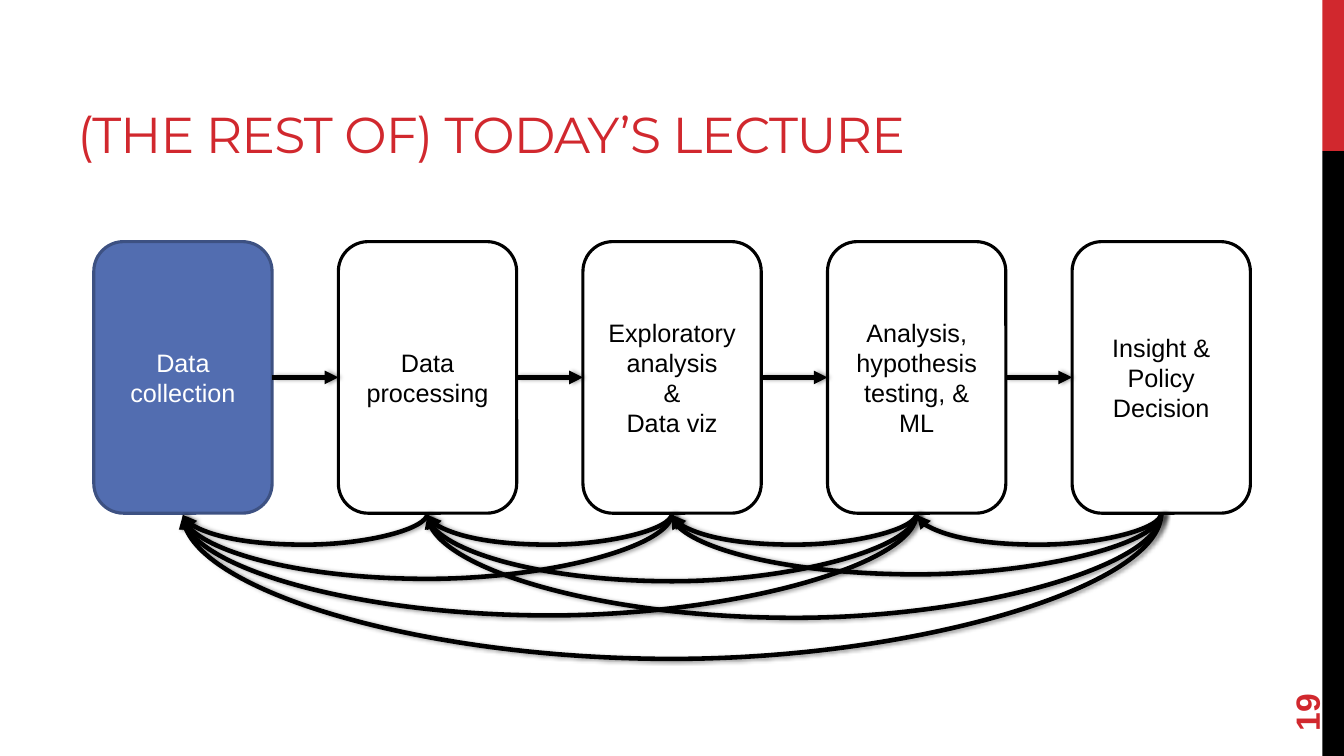
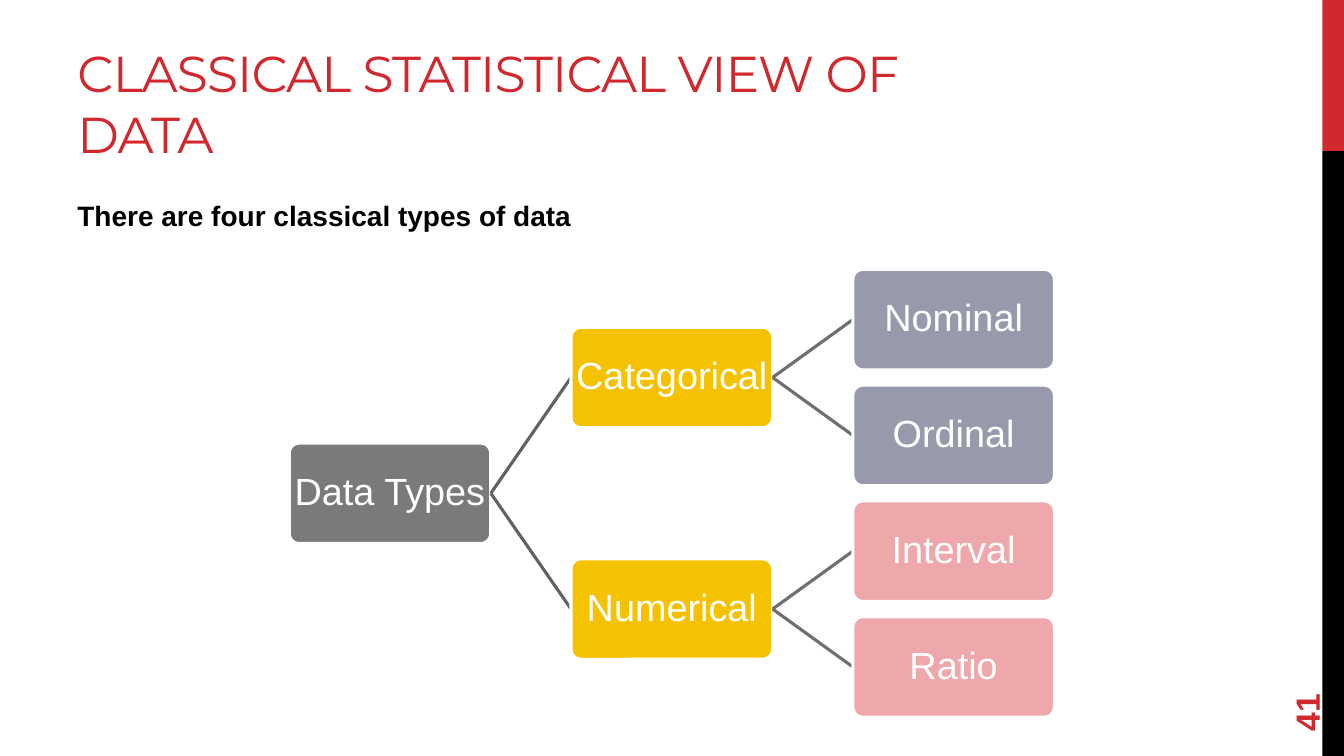
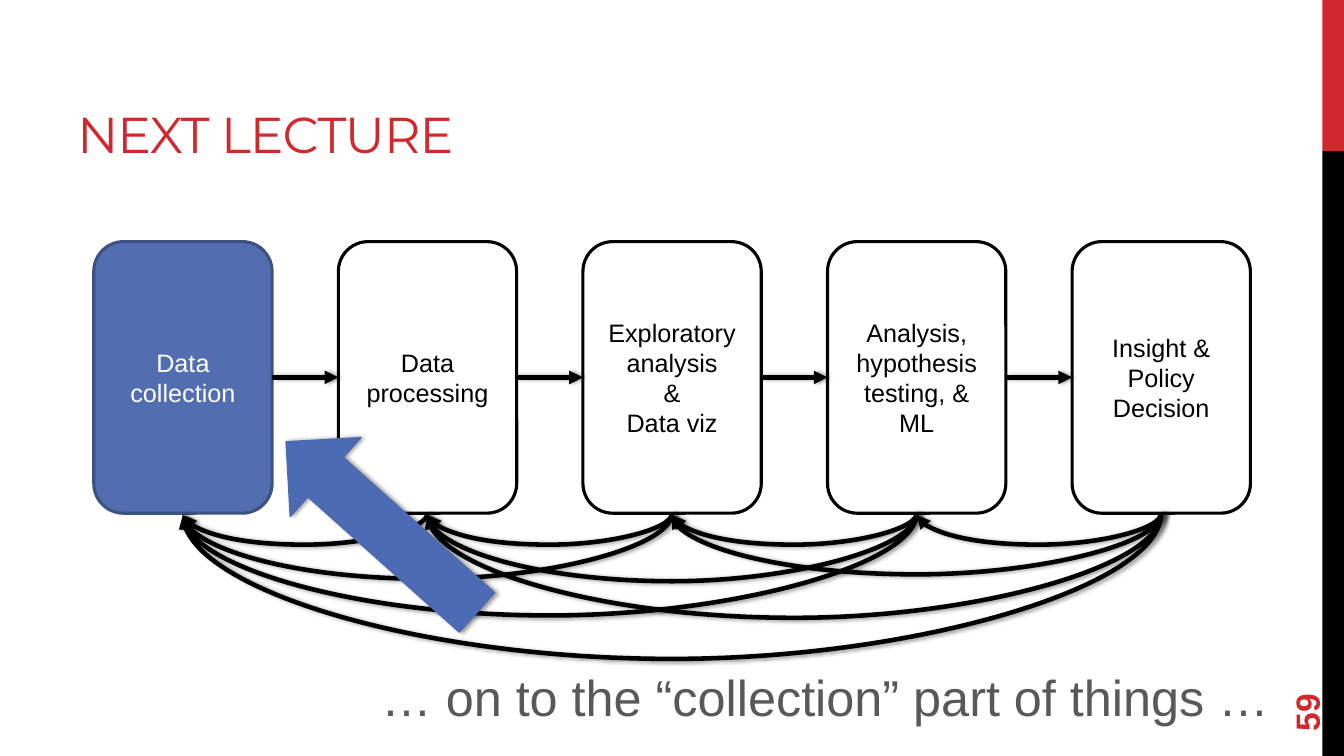
from lxml import etree
from pptx import Presentation
from pptx.dml.color import RGBColor
from pptx.enum.shapes import MSO_CONNECTOR as Link, MSO_SHAPE as Shape
from pptx.enum.text import MSO_ANCHOR as Anchor, PP_ALIGN as Align
from pptx.oxml.ns import qn
from pptx.util import Pt

COLORS = {
    "accent": "D1282E", "black": "000000", "white": "FFFFFF", "caption": "595959",
    "active": "526DB0", "active_edge": "3D5182",
    "pointer": "4D6BB5", "pointer_edge": "4E6AAE",
    "root": "7A7A7A", "branch": "F5C201", "categorical": "989AAC", "numerical": "EEA7AA",
    "root_link": "626262", "branch_link": "6F6F6F",
}
TOP, LEFT, BOTTOM, RIGHT = range(4)  # connection sites of a rectangle


class Deck:
    """Holds the shared style and the slide being built."""

    body_font, title_font = "Arial", "Montserrat"

    def __init__(self):
        self.prs = Presentation()
        self.prs.slide_width, self.prs.slide_height = Pt(960), Pt(540)

    def color(self, name):
        return RGBColor.from_string(COLORS[name])

    def new_slide(self, title, number, title_width=692):
        self.shapes = self.prs.slides.add_slide(self.prs.slide_layouts[6]).shapes
        # Side band
        self.box(Shape.RECTANGLE, 944.6, 0, 15.4, 108, "accent")
        self.box(Shape.RECTANGLE, 944.6, 108, 15.4, 432, "black")
        # Title and slide number
        heading = self.text(title, 48.2, 12.2, title_width, 108, 36, "accent",
                            anchor=Anchor.BOTTOM, font=self.title_font)
        for run_style in heading.element.iter(qn("a:rPr")):
            run_style.set("spc", "-60")
        page = self.text(number, 881.3, 458.6, 103.7, 38.2, 24, "accent",
                         anchor=Anchor.MIDDLE, bold=True)
        page.rotation = 270

    def label(self, shape, text, size, color, align=Align.LEFT, anchor=Anchor.TOP,
              bold=False, font=None):
        frame = shape.text_frame
        frame.word_wrap, frame.vertical_anchor = True, anchor
        for i, words in enumerate(text.split("\n")):
            para = frame.add_paragraph() if i else frame.paragraphs[0]
            para.alignment = align
            run = para.add_run()
            run.text = words
            run.font.name, run.font.size = font or self.body_font, Pt(size)
            run.font.bold, run.font.color.rgb = bold, self.color(color)

    def text(self, text, x, y, w, h, size, color, **style):
        area = self.shapes.add_textbox(Pt(x), Pt(y), Pt(w), Pt(h))
        self.label(area, text, size, color, **style)
        return area

    def box(self, kind, x, y, w, h, fill, edge=None, weight=2.25):
        shape = self.shapes.add_shape(kind, Pt(x), Pt(y), Pt(w), Pt(h))
        shape.shadow.inherit = False
        shape.fill.solid()
        shape.fill.fore_color.rgb = self.color(fill)
        if edge:
            shape.line.color.rgb, shape.line.width = self.color(edge), Pt(weight)
        else:
            shape.line.fill.background()
        return shape

    def link(self, kind, start, start_site, end, end_site, color, weight):
        line = self.shapes.add_connector(kind, 0, 0, 0, 0)
        line.begin_connect(start, start_site)
        line.end_connect(end, end_site)
        line.line.color.rgb, line.line.width = self.color(color), Pt(weight)
        etree.SubElement(line.element.spPr, qn("a:effectLst"))
        return line

    def shade(self, shape):
        effects = shape.element.spPr.find(qn("a:effectLst"))
        shadow = etree.SubElement(effects, qn("a:outerShdw"), blurRad=str(Pt(3.1)),
                                  dist=str(Pt(1.8)), dir="0", rotWithShape="0")
        tone = etree.SubElement(shadow, qn("a:srgbClr"), val=COLORS["black"])
        etree.SubElement(tone, qn("a:alpha"), val="40000")

    def arrow(self, kind, start, start_site, end, end_site):
        line = self.link(kind, start, start_site, end, end_site, "black", 3.25)
        etree.SubElement(line.element.spPr.find(qn("a:ln")), qn("a:tailEnd"),
                         type="triangle")
        self.shade(line)
        return line

    def feedback(self, start, end, dip):
        """Curve from one bottom side back to another, hanging dip points down."""
        line = self.arrow(Link.CURVE, start, BOTTOM, end, BOTTOM)
        rise, span = Pt(1.25), start.left - end.left
        middle = (start.left + end.left + start.width) // 2
        xfrm = line.element.spPr.find(qn("a:xfrm"))
        for flip in ("flipH", "flipV"):
            xfrm.attrib.pop(flip, None)
        xfrm.set("rot", "5400000")
        line.left, line.width = middle - rise // 2, rise
        line.top, line.height = start.top + start.height + (rise - span) // 2, span
        guides = line.element.spPr.find(qn("a:prstGeom")).find(qn("a:avLst"))
        etree.SubElement(guides, qn("a:gd"), name="adj1",
                         fmla=f"val {round(Pt(dip) / rise * 100000)}")

    def pipeline(self):
        stages = []
        for i, name in enumerate(STAGES):
            fill, edge, ink = (("white", "black", "black") if i
                               else ("active", "active_edge", "white"))
            stage = self.box(Shape.ROUNDED_RECTANGLE, 67 + 174.7 * i, 172.6, 127.4, 194,
                             fill, edge)
            self.label(stage, name, 18, ink, Align.CENTER, Anchor.MIDDLE)
            if stages:
                self.arrow(Link.STRAIGHT, stages[-1], RIGHT, stage, LEFT)
            for target, dip in zip(reversed(stages), DIPS[i]):
                self.feedback(stage, target, dip)
            stages.append(stage)

    def node(self, name, level, row, fill, parent=None, link_color=None):
        node = self.box(Shape.ROUNDED_RECTANGLE, 206.6 + 201.3 * level,
                        192.4 + 82.7 * row, 144, 71.8, fill, "white")
        node.adjustments[0] = 0.1
        self.label(node, name, 27, "white", Align.CENTER, Anchor.MIDDLE)
        frame = node.text_frame
        frame.word_wrap = False
        frame.margin_left = frame.margin_right = Pt(0)
        frame.margin_top = frame.margin_bottom = Pt(1.4)
        frame.paragraphs[0].line_spacing = 0.9
        if parent:
            line = self.link(Link.STRAIGHT, parent, RIGHT, node, LEFT, link_color, 2.25)
            node.element.addprevious(line.element)
        return node


STAGES = ["Data collection", "Data processing", "Exploratory analysis\n&\nData viz",
          "Analysis, hypothesis testing, & ML", "Insight & Policy Decision"]
# Depth of each feedback curve, nearest earlier stage first
DIPS = [[], [22.5], [22.5, 47], [22.5, 48.7, 73.2], [22.5, 43.8, 74.9, 104.3]]
DATA_TYPES = {"Categorical": ["Nominal", "Ordinal"], "Numerical": ["Interval", "Ratio"]}


def main():
    deck = Deck()

    # Today's lecture
    deck.new_slide("(THE REST OF) TODAY’S LECTURE", "19")
    deck.pipeline()

    # Tree of data types
    deck.new_slide("CLASSICAL STATISTICAL VIEW OF DATA", "41", title_width=608)
    deck.text("There are four classical types of data", 48.2, 138.2, 800, 32, 20,
              "black", bold=True)
    root = deck.node("Data Types", 0, 1.5, "root")
    for i, (family, members) in enumerate(DATA_TYPES.items()):
        branch = deck.node(family, 1, 2 * i + 0.5, "branch", root, "root_link")
        for j, member in enumerate(members):
            deck.node(member, 2, 2 * i + j, family.lower(), branch, "branch_link")

    # Next lecture
    deck.new_slide("NEXT LECTURE", "59")
    deck.pipeline()
    pointer = deck.box(Shape.DOWN_ARROW, 234.7, 285.1, 75.6, 182.9,
                       "pointer", "pointer_edge", 1)
    pointer.rotation = 131.8
    deck.shade(pointer)
    deck.text("… on to the “collection” part of things …", 80, 472.3, 833.8, 51, 36,
              "caption", align=Align.RIGHT)

    deck.prs.save("out.pptx")


if __name__ == "__main__":
    main()
